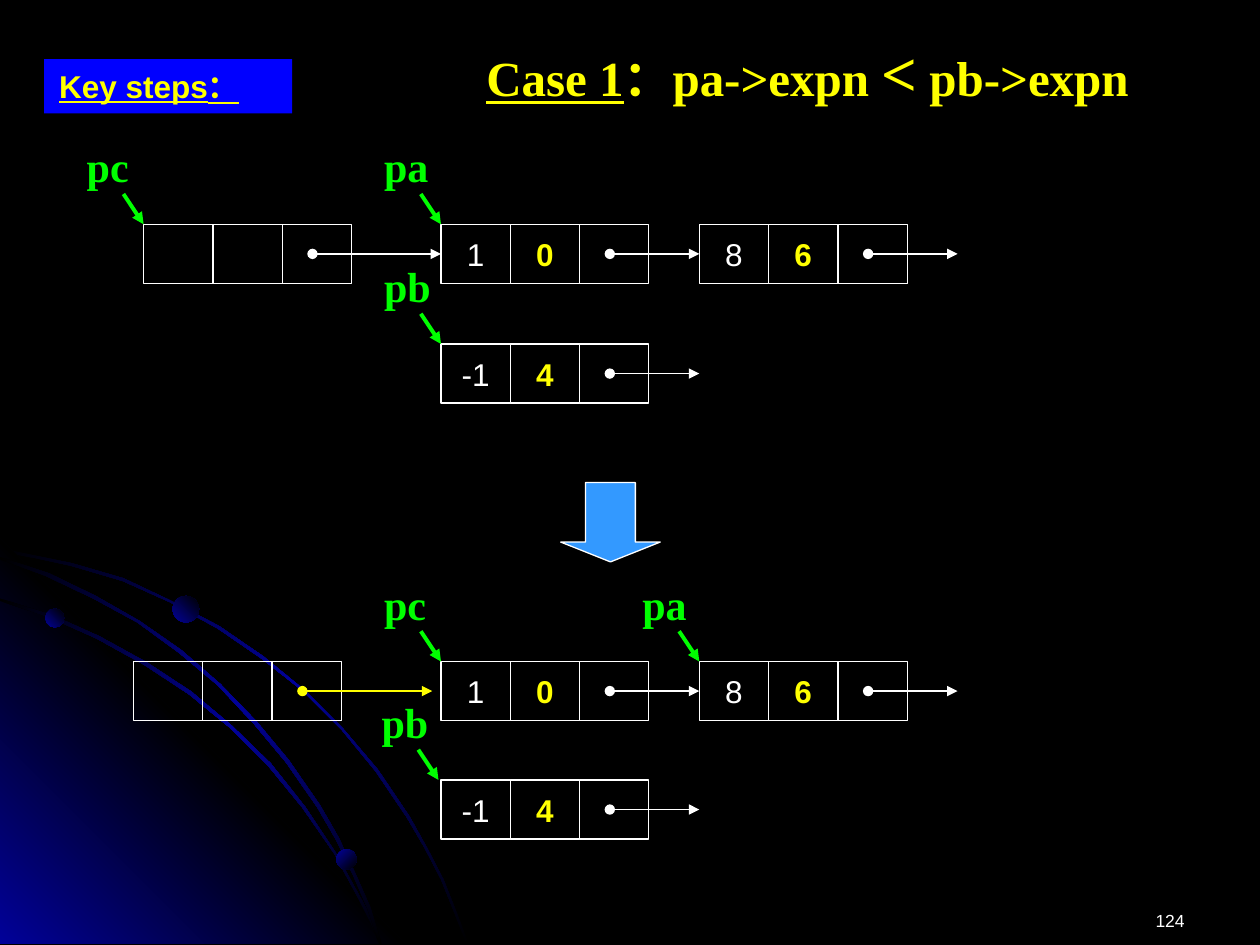
from copy import deepcopy

from lxml import etree
from pptx import Presentation
from pptx.dml.color import RGBColor
from pptx.enum import shapes, text
from pptx.oxml.ns import qn
from pptx.util import Inches, Pt

WHITE, YELLOW, GREEN = "FFFFFF", "FFFF00", "00FF00"
BLACK, NAVY = "000000", "010199"
SANS, SERIF = "Arial", "Times New Roman"

# Linked-list nodes: coefficient, exponent, left, top, link end, link colour, index of next node
NODES = [
    ("", "", 1.14, 1.78, 3.5, WHITE, 1),
    ("1", "0", 3.5, 1.78, 5.55, WHITE, 2),
    ("8", "6", 5.55, 1.78, 7.6, WHITE, None),
    ("-1", "4", 3.5, 2.73, 5.55, WHITE, None),
    ("", "", 1.06, 5.25, 3.43, YELLOW, None),
    ("1", "0", 3.5, 5.25, 5.55, WHITE, 6),
    ("8", "6", 5.55, 5.25, 7.6, WHITE, None),
    ("-1", "4", 3.5, 6.19, 5.55, WHITE, None),
]
# Pointers: name, x and y of the arrow tip
POINTERS = [
    ("pc", 1.14, 1.78), ("pa", 3.5, 1.78), ("pb", 3.5, 2.73),
    ("pc", 3.5, 5.25), ("pa", 5.55, 5.25), ("pb", 3.48, 6.19),
]
CELL_W, CELL_H = 0.55, 0.47

OUTER_ARC = [
    (0.57, 4.47), (0.28, 4.41), (0, 4.35), (0, 4.38), (0.28, 4.43), (0.56, 4.49),
    (0.97, 4.61), (1.35, 4.78), (1.73, 4.99), (2.08, 5.23), (2.41, 5.49), (2.71, 5.79),
    (2.98, 6.12), (3.23, 6.49), (3.37, 6.73), (3.5, 6.98), (3.6, 7.23), (3.7, 7.49),
    (3.72, 7.49), (3.62, 7.23), (3.52, 6.98), (3.39, 6.73), (3.25, 6.48), (3, 6.11),
    (2.72, 5.78), (2.42, 5.48), (2.09, 5.21), (1.74, 4.97), (1.36, 4.77), (0.98, 4.59),
]
INNER_ARC = [
    (2.85, 7.14), (2.94, 7.32), (3.01, 7.49), (3.03, 7.49), (2.96, 7.3), (2.86, 7.12),
    (2.66, 6.76), (2.42, 6.4), (2.15, 6.06), (1.84, 5.76), (1.52, 5.49), (1.17, 5.26),
    (0.79, 5.05), (0.41, 4.88), (0, 4.75), (0, 4.77), (0.39, 4.9), (0.77, 5.07),
    (1.15, 5.28), (1.5, 5.51), (1.83, 5.78), (2.13, 6.08), (2.4, 6.41), (2.65, 6.77),
]
MIDDLE_ARC = [
    (0, 4.42), (0, 4.44), (0.36, 4.57), (0.74, 4.75), (1.09, 4.94), (1.42, 5.18),
    (1.73, 5.44), (2.02, 5.75), (2.27, 6.05), (2.52, 6.41), (2.67, 6.67), (2.8, 6.94),
    (2.92, 7.22), (3.01, 7.49), (3.03, 7.49), (2.94, 7.2), (2.82, 6.93), (2.69, 6.65),
    (2.54, 6.39), (2.29, 6.03), (2.04, 5.73), (1.75, 5.43), (1.44, 5.16), (1.11, 4.93),
    (0.76, 4.73), (0.39, 4.55),
]
CORNER = [(3.22, 7.49), (0, 7.49), (0, 4.27)]
# Outline, gradient colours, counter-clockwise gradient angle
SWEEPS = [
    (OUTER_ARC, (BLACK, NAVY, BLACK), 315),
    (CORNER, (NAVY, BLACK, NAVY), 45),
    (INNER_ARC, (BLACK, NAVY, BLACK), 315),
    (MIDDLE_ARC, (BLACK, NAVY, BLACK), 315),
]
# Left, top, diameter, gradient angle
BEADS = [(0.36, 4.83, 0.15, 45), (2.67, 6.74, 0.16, 315), (1.37, 4.73, 0.21, 45)]


def rgb(value):
    return RGBColor.from_string(value)


def style(sp, fill=None, line=None):
    sp.shadow.inherit = False
    if fill:
        sp.fill.solid()
        sp.fill.fore_color.rgb = rgb(fill)
    else:
        sp.fill.background()
    if line:
        sp.line.color.rgb = rgb(line)
        sp.line.width = Pt(0.75)
    else:
        sp.line.fill.background()


def shade(sp, colors, angle):
    """Fill with evenly spaced gradient stops."""
    style(sp)
    sp.fill.gradient()
    sp.fill.gradient_angle = angle
    stops = sp._element.spPr.find(qn("a:gradFill")).find(qn("a:gsLst"))
    while len(stops) < len(colors):
        stops.append(deepcopy(stops[0]))
    for i, (stop, color) in enumerate(zip(sp.fill.gradient_stops, colors)):
        stop.position = i / (len(colors) - 1)
        stop.color.rgb = rgb(color)


def add_shape(kind, x, y, w, h):
    return s.shapes.add_shape(kind, Inches(x), Inches(y), Inches(w), Inches(h))


def add_text(x, y, w, h, wrap=True):
    tf = s.shapes.add_textbox(Inches(x), Inches(y), Inches(w), Inches(h)).text_frame
    tf.word_wrap = wrap
    return tf


def add_run(tf, content, size, color, font=SANS, bold=False, underline=False):
    p = tf.paragraphs[0]
    r = p.add_run()
    r.text = content
    f = r.font
    f.name, f.size, f.bold, f.underline = font, Pt(size), bold, underline
    f.color.rgb = rgb(color)
    return p


def add_arrow(x1, y1, x2, y2, color, width, dot=False):
    c = s.shapes.add_connector(shapes.MSO_CONNECTOR.STRAIGHT,
                               Inches(x1), Inches(y1), Inches(x2), Inches(y2))
    c.line.color.rgb = rgb(color)
    c.line.width = Pt(width)
    ln = c.line._get_or_add_ln()
    if dot:
        etree.SubElement(ln, qn("a:headEnd"), type="oval")
    etree.SubElement(ln, qn("a:tailEnd"), type="triangle")
    etree.SubElement(c._element.spPr, qn("a:effectLst"))
    return c


def add_node(values, x, y):
    """Draw the three cells of a node and return the first."""
    cells = []
    for i, (value, color) in enumerate(zip((*values, ""), (WHITE, YELLOW, WHITE))):
        cell = add_shape(shapes.MSO_SHAPE.RECTANGLE, x + i * CELL_W, y, CELL_W, CELL_H)
        style(cell, line=WHITE)
        if value:
            tf = cell.text_frame
            tf.word_wrap = False
            tf.vertical_anchor = text.MSO_ANCHOR.MIDDLE
            p = add_run(tf, value, 18, color, bold=color == YELLOW)
            p.alignment = text.PP_ALIGN.CENTER
        cells.append(cell)
    return cells[0]


def set_margins(tf):
    tf.margin_left = tf.margin_right = Inches(0.12)
    tf.margin_top = tf.margin_bottom = Inches(0.06)


prs = Presentation()
prs.slide_width, prs.slide_height = Inches(10), Inches(7.5)
s = prs.slides.add_slide(prs.slide_layouts[5])
s.background.fill.solid()
s.background.fill.fore_color.rgb = rgb(BLACK)

for outline, colors, angle in SWEEPS:
    points = [(Inches(x), Inches(y)) for x, y in outline]
    builder = s.shapes.build_freeform(*points[0])
    builder.add_line_segments(points[1:])
    shade(builder.convert_to_shape(), colors, angle)
for x, y, size, angle in BEADS:
    shade(add_shape(shapes.MSO_SHAPE.OVAL, x, y, size, size), (NAVY, BLACK), angle)

title = s.shapes.title
title.left, title.top, title.width, title.height = map(Inches, (3.74, 0.21, 5.67, 0.73))
tf = title.text_frame
set_margins(tf)
tf.word_wrap = True
tf.auto_size = text.MSO_AUTO_SIZE.NONE
tf.vertical_anchor = text.MSO_ANCHOR.TOP
for content, size, underline in [("Case 1", 28, True), ("：pa->expn ", 28, False),
                                 ("<", 36, False), (" pb->expn", 28, False)]:
    p = add_run(tf, content, size, YELLOW, SERIF, True, underline)
p.alignment = text.PP_ALIGN.LEFT

key = add_shape(shapes.MSO_SHAPE.RECTANGLE, 0.35, 0.47, 1.97, 0.43)
style(key, fill="0000FF")
set_margins(key.text_frame)
key.text_frame.vertical_anchor = text.MSO_ANCHOR.TOP
p = add_run(key.text_frame, "Key steps：", 18, YELLOW, bold=True, underline=True)
p.alignment = text.PP_ALIGN.LEFT

first_cells = [add_node(node[:2], *node[2:4]) for node in NODES]
for _, _, x, y, end, color, following in NODES:
    middle = y + CELL_H / 2
    link = add_arrow(x + 1.34, middle, end, middle, color, 0.75, dot=True)
    if following is not None:
        link.end_connect(first_cells[following], 1)

for name, x, y in POINTERS:
    tf = add_text(x - 0.55, y - 0.71, 0.6, 0.5, wrap=False)
    tf.margin_right = 0
    add_run(tf, name, 24, GREEN, SERIF, True).alignment = text.PP_ALIGN.LEFT
    add_arrow(x - 0.16, y - 0.24, x, y, GREEN, 2.25)

style(add_shape(shapes.MSO_SHAPE.DOWN_ARROW, 4.45, 3.83, 0.79, 0.63), "3399FF", WHITE)
s.shapes[-1].adjustments[1] = 0.25

tf = add_text(7.17, 7.01, 2.33, 0.5)
tf.vertical_anchor = text.MSO_ANCHOR.BOTTOM
tf.margin_bottom = Inches(0.12)
add_run(tf, "124", 10, WHITE).alignment = text.PP_ALIGN.RIGHT

prs.save("out.pptx")
